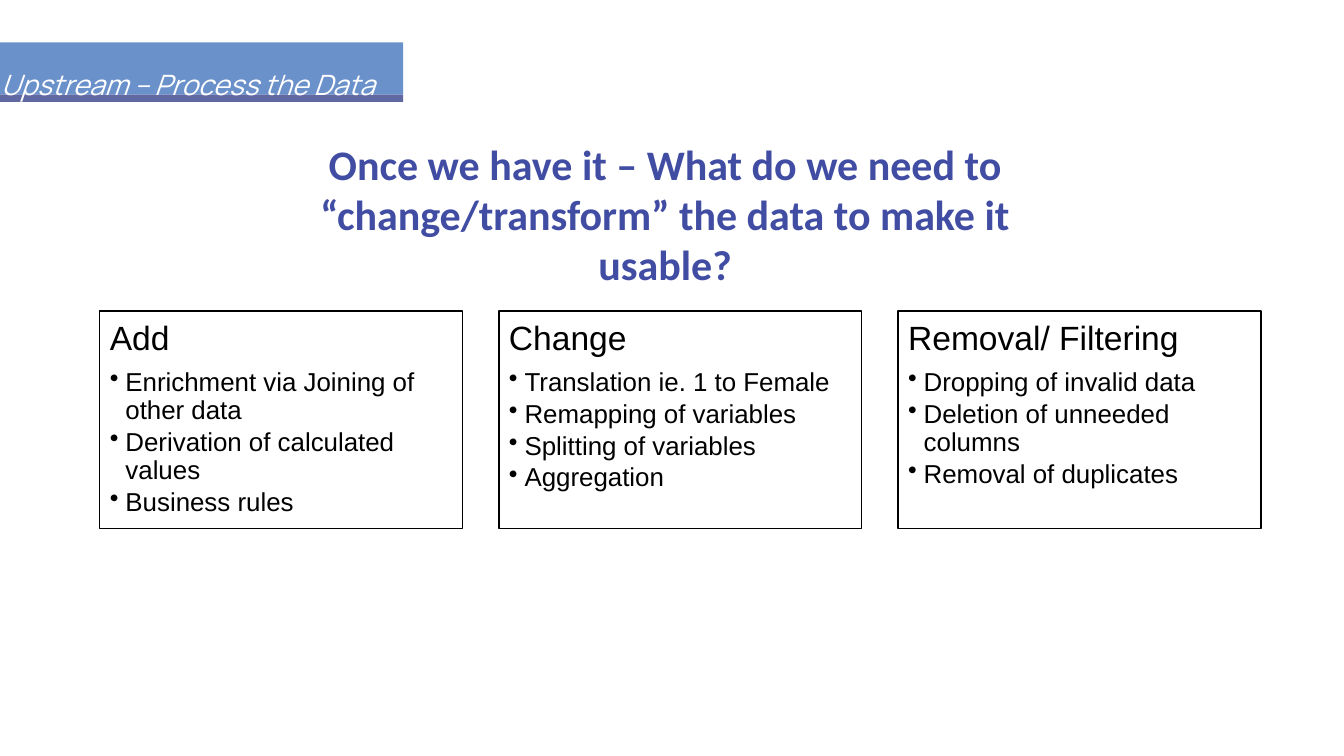
from lxml import etree
from pptx import Presentation
from pptx.dml.color import RGBColor
from pptx.enum import shapes, text
from pptx.oxml import ns
from pptx.util import Inches, Pt

WHITE = RGBColor(0xFF, 0xFF, 0xFF)
BLACK = RGBColor(0, 0, 0)
BANNER_BLUE = RGBColor(0x6B, 0x91, 0xCB)
BANNER_EDGE = RGBColor(0x61, 0x69, 0xA3)
TITLE_BLUE = RGBColor(0x41, 0x4D, 0xA3)

TITLE = "Once we have it – What do we need to “change/transform” the data to make it usable?"
CARDS = [
    ("Add", ["Enrichment via Joining of other data",
             "Derivation of calculated values",
             "Business rules"]),
    ("Change", ["Translation ie. 1 to Female",
                "Remapping of variables",
                "Splitting of variables",
                "Aggregation"]),
    ("Removal/ Filtering", ["Dropping of invalid data",
                            "Deletion of unneeded columns",
                            "Removal of duplicates"]),
]
CARD_WIDTH, CARD_PITCH = 7.2, 7.92


def set_font(paragraph, name, size, color):
    font = paragraph.font if not paragraph.runs else paragraph.runs[0].font
    font.name, font.size = name, Pt(size)
    font.color.rgb = color
    return font


def set_frame(frame, inset, anchor):
    frame.word_wrap = True
    frame.auto_size = text.MSO_AUTO_SIZE.NONE
    frame.vertical_anchor = anchor
    frame.margin_left = frame.margin_right = Inches(inset)
    frame.margin_top = frame.margin_bottom = Inches(inset)


def add_rectangle(slide, left, top, width, height, fill):
    rectangle = slide.shapes.add_shape(
        shapes.MSO_SHAPE.RECTANGLE,
        Inches(left), Inches(top), Inches(width), Inches(height))
    rectangle.shadow.inherit = False
    rectangle.fill.solid()
    rectangle.fill.fore_color.rgb = fill
    rectangle.line.fill.background()
    return rectangle


def add_bullet(paragraph, indent):
    properties = paragraph._p.get_or_add_pPr()
    properties.set("marL", str(Inches(indent)))
    properties.set("indent", str(-Inches(indent)))
    color = etree.SubElement(properties, ns.qn("a:buClr"))
    etree.SubElement(color, ns.qn("a:srgbClr"), val=str(BLACK))
    etree.SubElement(properties, ns.qn("a:buChar"), char="•")


def place_title(slide, left, top, width, height):
    title = slide.shapes.title
    title.left, title.top = Inches(left), Inches(top)
    title.width, title.height = Inches(width), Inches(height)
    frame = title.text_frame
    frame.text = TITLE
    set_frame(frame, 0.1, text.MSO_ANCHOR.BOTTOM)
    heading = frame.paragraphs[0]
    heading.alignment = text.PP_ALIGN.CENTER
    heading.line_spacing = 1.0
    set_font(heading, "Calibri", 60, TITLE_BLUE).bold = True


def add_banner(slide, left, top, width, height):
    edge = 0.14
    add_rectangle(slide, left, top, width, height - edge, BANNER_BLUE)
    add_rectangle(slide, left, top + height - edge, width, edge, BANNER_EDGE)
    label = slide.shapes.add_textbox(
        Inches(left - 0.04), Inches(top + 0.16), Inches(width + 1.27), Inches(0.84))
    frame = label.text_frame
    frame.text = "Upstream – Process the Data"
    set_frame(frame, 0.06, text.MSO_ANCHOR.MIDDLE)
    frame.paragraphs[0].line_spacing = 1.73
    set_font(frame.paragraphs[0], "Manrope", 40, WHITE).italic = True


def add_card(slide, left, top, width, height, heading, items):
    card = add_rectangle(slide, left, top, width, height, WHITE)
    card.line.color.rgb = BLACK
    card.line.width = Pt(2)
    frame = card.text_frame
    frame.text = "\n".join([heading, *items])
    set_frame(frame, 0.2, text.MSO_ANCHOR.TOP)
    for row, paragraph in enumerate(frame.paragraphs):
        paragraph.alignment = text.PP_ALIGN.LEFT
        paragraph.line_spacing = 0.9
        if row:
            paragraph.level = 1
            paragraph.space_before = Pt(16.8 if row == 1 else 5.5)
            add_bullet(paragraph, 0.31)
        set_font(paragraph, "Arial", 37 if row else 48, BLACK)


def main():
    deck = Presentation()
    deck.slide_width, deck.slide_height = Inches(26.67), Inches(15)
    slide = deck.slides.add_slide(deck.slide_layouts.get_by_name("Title Only"))
    place_title(slide, 6.01, 4.28, 14.38, 1.56)
    add_banner(slide, 0, 0.84, 8, 1.18)
    for column, (heading, items) in enumerate(CARDS):
        add_card(slide, 1.98 + column * CARD_PITCH, 6.17, CARD_WIDTH, 4.32, heading, items)
    deck.save("out.pptx")


if __name__ == "__main__":
    main()
